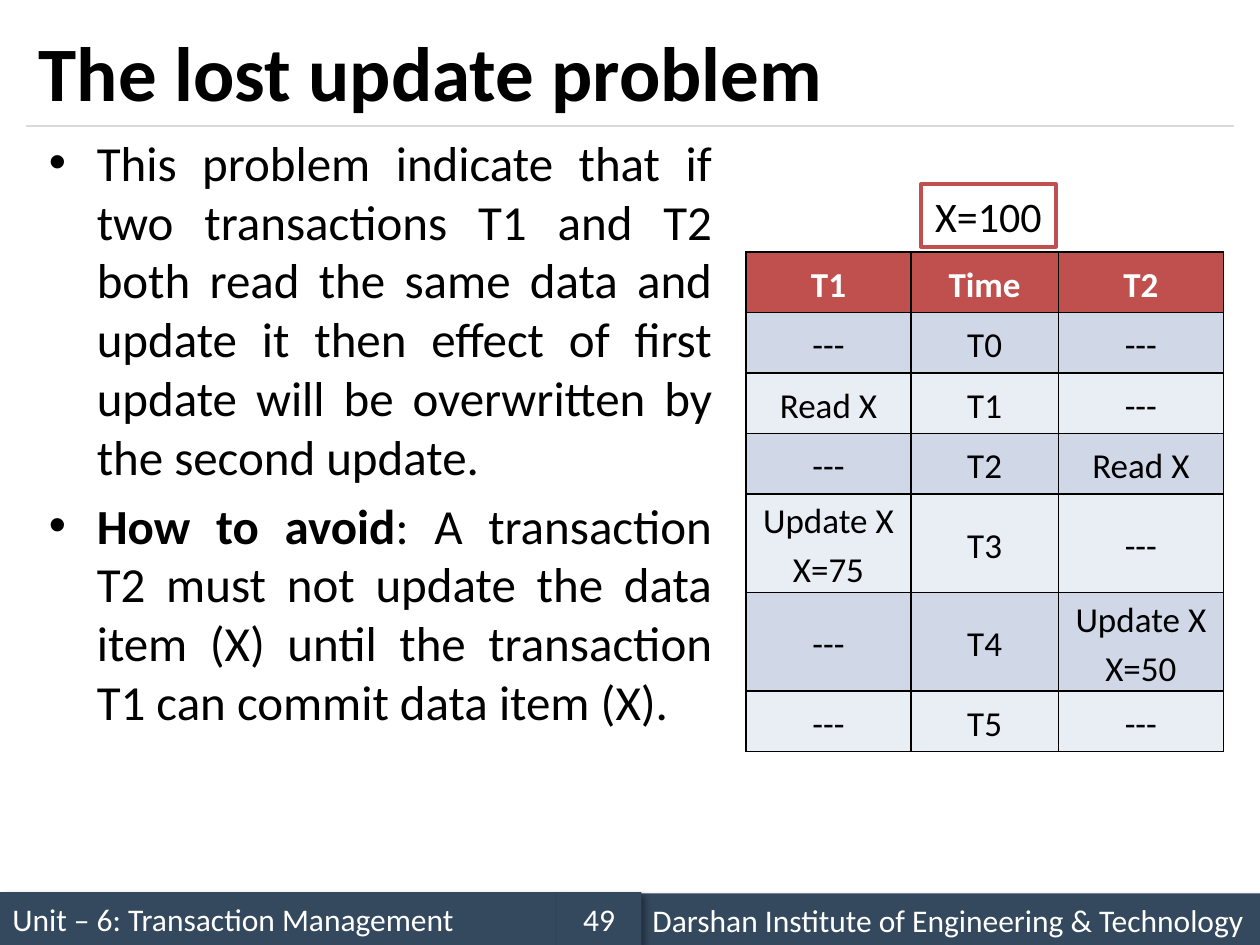
from dataclasses import dataclass
from lxml.etree import SubElement
from pptx import Presentation
from pptx.dml.color import RGBColor
from pptx.enum.shapes import MSO_CONNECTOR, MSO_SHAPE
from pptx.enum.text import MSO_ANCHOR, PP_ALIGN
from pptx.oxml.ns import qn
from pptx.util import Inches, Pt


@dataclass(frozen=True)
class Theme:
    font: str = "Calibri"
    ink: str = "000000"
    paper: str = "FFFFFF"
    footer: str = "34495E"
    rule: str = "D9D9D9"
    accent: str = "C0504D"
    bands: tuple = ("D0D8E8", "E9EDF4")
    title_size: int = 44
    body_size: int = 28
    label_size: int = 24
    table_size: int = 20
    footer_size: int = 18


def color(code):
    return RGBColor.from_string(code)


def add_element(parent, tag, **attributes):
    return SubElement(parent, qn(tag), attributes)


def fill_paragraph(paragraph, *spans, font, size, ink, align=PP_ALIGN.LEFT,
                   spacing=None, before=None, bullet=None):
    """Fill a paragraph with (text, bold) spans in one format."""
    if bullet:
        properties = paragraph._p.get_or_add_pPr()
        indent = Inches(0.38)
        properties.set("marL", str(indent))
        properties.set("indent", str(-indent))
        add_element(properties, "a:buFont", typeface="Arial")
        add_element(properties, "a:buChar", char=bullet)
    paragraph.alignment = align
    if spacing:
        paragraph.line_spacing = spacing
    if before:
        paragraph.space_before = before
    for text, bold in spans:
        span = paragraph.add_run()
        span.text = text
        span.font.name = font
        span.font.size = Pt(size)
        span.font.bold = bold
        span.font.color.rgb = color(ink)


class SlideBuilder:
    def __init__(self, page, theme):
        self.page = page
        self.theme = theme

    def put_text(self, paragraph, *spans, **style):
        fill_paragraph(paragraph, *spans, font=self.theme.font, **style)

    def text_box(self, left, top, width, height, anchor=MSO_ANCHOR.TOP):
        box = self.page.shapes.add_textbox(
            Inches(left), Inches(top), Inches(width), Inches(height))
        box.text_frame.word_wrap = True
        box.text_frame.vertical_anchor = anchor
        return box.text_frame

    def title(self, text, *place):
        frame = self.text_box(*place, anchor=MSO_ANCHOR.MIDDLE)
        self.put_text(frame.paragraphs[0], (text, True),
                      size=self.theme.title_size, ink=self.theme.ink)

    def bullets(self, items, *place):
        frame = self.text_box(*place)
        for index, spans in enumerate(items):
            paragraph = frame.add_paragraph() if index else frame.paragraphs[0]
            self.put_text(paragraph, *spans, size=self.theme.body_size,
                          ink=self.theme.ink, align=PP_ALIGN.JUSTIFY, bullet="•",
                          before=Pt(5.6) if index else None)

    def rectangle(self, left, top, width, height, fill):
        box = self.page.shapes.add_shape(
            MSO_SHAPE.RECTANGLE, Inches(left), Inches(top), Inches(width), Inches(height))
        box.shadow.inherit = False
        box.fill.solid()
        box.fill.fore_color.rgb = color(fill)
        box.line.fill.background()
        box.text_frame.vertical_anchor = MSO_ANCHOR.MIDDLE
        return box

    def footer(self, text, *place, align=PP_ALIGN.LEFT):
        box = self.rectangle(*place, self.theme.footer)
        effects = box._element.spPr.find(qn("a:effectLst"))
        shadow = add_element(effects, "a:outerShdw", blurRad=str(Pt(4)), dist=str(Pt(3)),
                             dir="2700000", algn="tl", rotWithShape="0")
        tint = add_element(shadow, "a:srgbClr", val=self.theme.ink)
        add_element(tint, "a:alpha", val="40000")
        self.put_text(box.text_frame.paragraphs[0], (text, False),
                      size=self.theme.footer_size, ink=self.theme.paper, align=align)

    def label(self, text, *place):
        box = self.rectangle(*place, self.theme.paper)
        box.line.color.rgb = color(self.theme.accent)
        box.line.width = Pt(2)
        box.text_frame.word_wrap = False
        self.put_text(box.text_frame.paragraphs[0], (text, False), size=self.theme.label_size,
                      ink=self.theme.ink, align=PP_ALIGN.CENTER)

    def rule(self, left, right, top):
        line = self.page.shapes.add_connector(
            MSO_CONNECTOR.STRAIGHT, Inches(left), Inches(top), Inches(right), Inches(top))
        line.line.color.rgb = color(self.theme.rule)
        line.line.width = Pt(0.75)
        add_element(line._element.spPr, "a:effectLst")

    def cell(self, cell, text, fill, ink, bold):
        properties = cell._tc.get_or_add_tcPr()
        for side in ("L", "R", "T", "B"):
            border = add_element(properties, f"a:ln{side}", w=str(Pt(1)))
            paint = add_element(border, "a:solidFill")
            add_element(paint, "a:srgbClr", val=self.theme.ink)
        cell.fill.solid()
        cell.fill.fore_color.rgb = color(fill)
        cell.vertical_anchor = MSO_ANCHOR.MIDDLE
        cell.margin_left = cell.margin_right = Inches(0.11)
        cell.margin_top = cell.margin_bottom = 0
        frame = cell.text_frame
        for index, line in enumerate(text.split("\n")):
            paragraph = frame.add_paragraph() if index else frame.paragraphs[0]
            self.put_text(paragraph, (line, bold), size=self.theme.table_size, ink=ink,
                          align=PP_ALIGN.CENTER, spacing=1.15)

    def table(self, rows, left, top, widths, line_heights):
        heights = [line_heights[any("\n" in text for text in row)] for row in rows]
        table = self.page.shapes.add_table(
            len(rows), len(widths), Inches(left), Inches(top),
            Inches(sum(widths)), Inches(sum(heights))).table
        for column, width in zip(table.columns, widths):
            column.width = Inches(width)
        for r, (row, height) in enumerate(zip(rows, heights)):
            table.rows[r].height = Inches(height)
            header = r == 0
            fill = self.theme.accent if header else self.theme.bands[(r - 1) % 2]
            ink = self.theme.paper if header else self.theme.ink
            for c, text in enumerate(row):
                self.cell(table.cell(r, c), text, fill, ink, header)


def main():
    deck = Presentation()
    deck.slide_width, deck.slide_height = Inches(10), Inches(7.5)
    page = deck.slides.add_slide(deck.slide_layouts[6])
    slide = SlideBuilder(page, Theme())

    slide.footer("Unit – 6: Transaction Management", 0, 7.08, 4.42, 0.42)
    slide.footer("Darshan Institute of Engineering & Technology", 5.08, 7.09, 4.92, 0.42)
    slide.footer("49", 4.42, 7.08, 0.67, 0.42, align=PP_ALIGN.CENTER)
    slide.rule(0.21, 9.79, 1)

    idle = "---"
    schedule = [
        ("T1", "Time", "T2"),
        (idle, "T0", idle),
        ("Read X", "T1", idle),
        (idle, "T2", "Read X"),
        ("Update X\nX=75", "T3", idle),
        (idle, "T4", "Update X\nX=50"),
        (idle, "T5", idle),
    ]
    slide.table(schedule, 5.92, 2, (1.31, 1.17, 1.31), (0.48, 0.78))
    slide.bullets([
        [("This problem indicate that if two transactions T1 and T2 both read the same data "
          "and update it then effect of first update will be overwritten by the second update.",
          False)],
        [("How to avoid", True),
         (": A transaction T2 must not update the data item (X) until the transaction T1 "
          "can commit data item (X).", False)],
    ], 0.29, 1, 5.46, 6.08)
    slide.title("The lost update problem", 0.21, 0.12, 9.58, 0.88)
    slide.label("X=100", 7.31, 1.46, 1.07, 0.5)
    deck.save("out.pptx")


if __name__ == "__main__":
    main()
